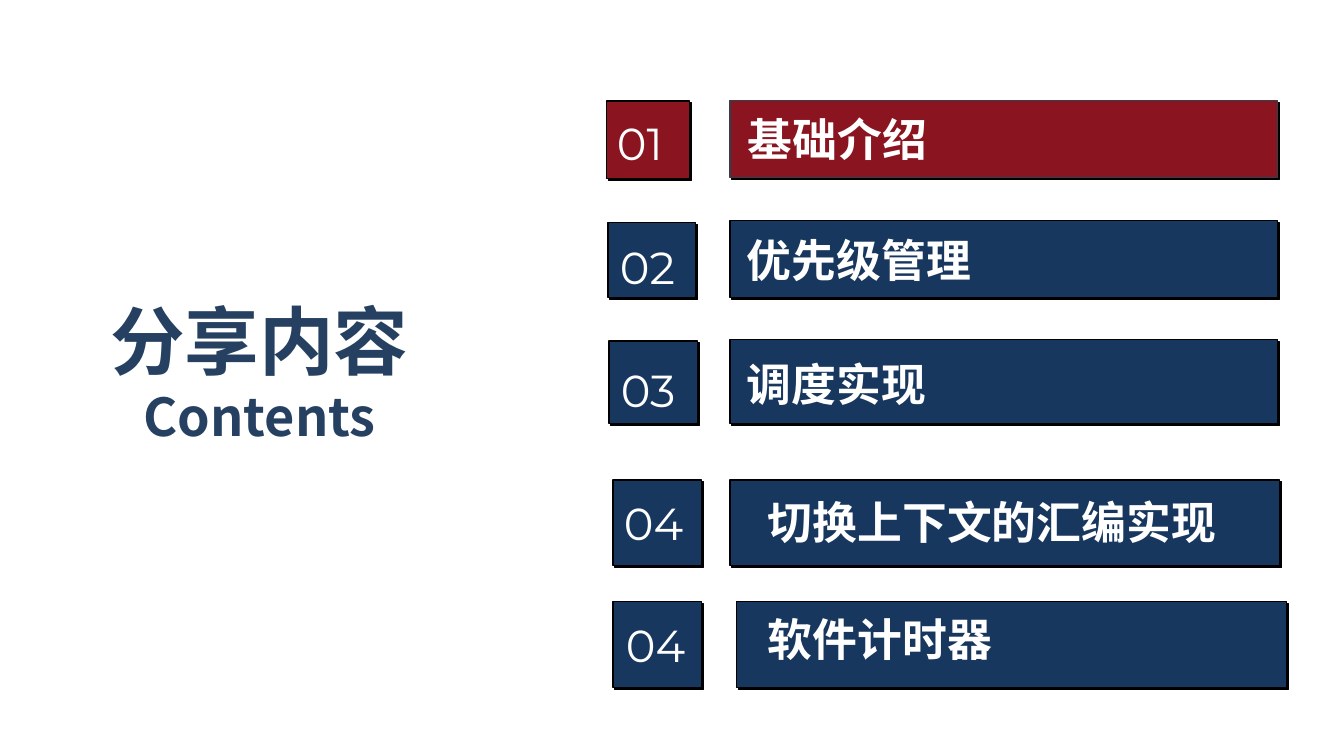
from lxml import etree
from pptx import Presentation
from pptx.dml.color import RGBColor
from pptx.enum.shapes import MSO_SHAPE
from pptx.enum.text import MSO_ANCHOR, MSO_AUTO_SIZE, PP_ALIGN
from pptx.oxml import parse_xml
from pptx.oxml.ns import qn
from pptx.util import Pt

RECT = MSO_SHAPE.RECTANGLE
TOP = MSO_ANCHOR.TOP
NO_FIT = MSO_AUTO_SIZE.NONE
LEFT, CENTER = PP_ALIGN.LEFT, PP_ALIGN.CENTER

# Content
HEADING = [("分享内容", 53.3), ("Contents", 37.3)]
HEADING_AREA = (98, 290, 323, 164)
RED, NAVY, INK, SLATE = "8A1420", "17375E", "254061", "323F4F"
BLACK, WHITE = "000000", "FFFFFF"
CJK_FONT, NUMBER_FONT = "Noto Sans CJK SC", "Montserrat"

# number, label, fill, bar outline, number box, number text (x, y),
# bar, label text (x, y)
CHAPTERS = [
    ("01", "基础介绍", RED, SLATE,
     (607, 101, 83, 78), (607, 111), (730, 101, 548, 77), (738, 107)),
    ("02", "优先级管理", NAVY, BLACK,
     (608, 223, 88, 75), (610, 235), (730, 221, 548, 77), (737, 228)),
    ("03", "调度实现", NAVY, BLACK,
     (609, 341, 89, 83), (611, 358), (730, 340, 548, 84), (737, 352)),
    ("04", "切换上下文的汇编实现", NAVY, BLACK,
     (613, 480, 89, 86), (614, 491), (730, 480, 550, 86), (758, 490)),
    ("04", "软件计时器", NAVY, BLACK,
     (613, 602, 89, 86), (616, 613), (737, 602, 550, 86), (758, 607)),
]
NUMBER_SIZE, LABEL_SIZE = (87, 65), (576, 65)
EMU_PER_PX = 914400 / 100.8

SHADOW = (
    '<a:effectLst xmlns:a="http://schemas.openxmlformats.org/drawingml/2006/main">'
    '<a:outerShdw dist="17780" dir="2700000" algn="tl" rotWithShape="0">'
    '<a:srgbClr val="000000"/></a:outerShdw></a:effectLst>'
)


def px(length):
    return round(length * EMU_PER_PX)


def color(hex_string):
    return RGBColor.from_string(hex_string)


def write(paragraph, text, size, font, ink, bold=False, align=LEFT):
    paragraph.alignment = align
    run = paragraph.add_run()
    run.text = text
    run.font.size = Pt(size)
    run.font.bold = bold
    run.font.name = font
    run.font.color.rgb = color(ink)
    east_asian = etree.SubElement(run.font._element, qn("a:ea"))
    east_asian.set("typeface", font)


def add_panel(slide, area, fill, outline):
    panel = slide.shapes.add_shape(RECT, *map(px, area))
    panel.fill.solid()
    panel.fill.fore_color.rgb = color(fill)
    panel.line.color.rgb = color(outline)
    panel.line.width = Pt(0.75)
    panel._element.spPr.append(parse_xml(SHADOW))


def add_caption(slide, position, size, text, **text_format):
    caption = slide.shapes.add_textbox(*map(px, position + size))
    caption.text_frame.word_wrap = True
    write(caption.text_frame.paragraphs[0], text, 32, ink=WHITE, **text_format)


def main():
    deck = Presentation()
    deck.slide_width, deck.slide_height = px(1344), px(756)
    slide = deck.slides.add_slide(deck.slide_layouts[5])

    # Heading in two languages
    heading = slide.shapes.title
    heading.left, heading.top, heading.width, heading.height = map(px, HEADING_AREA)
    frame = heading.text_frame
    frame.word_wrap = False
    frame.auto_size = NO_FIT
    frame.vertical_anchor = TOP
    for index, (text, size) in enumerate(HEADING):
        paragraph = frame.add_paragraph() if index else frame.paragraphs[0]
        write(paragraph, text, size, CJK_FONT, INK, bold=True, align=CENTER)

    # Numbered chapters
    for (number, label, fill, outline,
         number_box, number_at, bar, label_at) in CHAPTERS:
        add_panel(slide, number_box, fill, BLACK)
        add_caption(slide, number_at, NUMBER_SIZE, number, font=NUMBER_FONT)
        add_panel(slide, bar, fill, outline)
        add_caption(slide, label_at, LABEL_SIZE, label, font=CJK_FONT, bold=True)

    deck.save("out.pptx")


if __name__ == "__main__":
    main()
